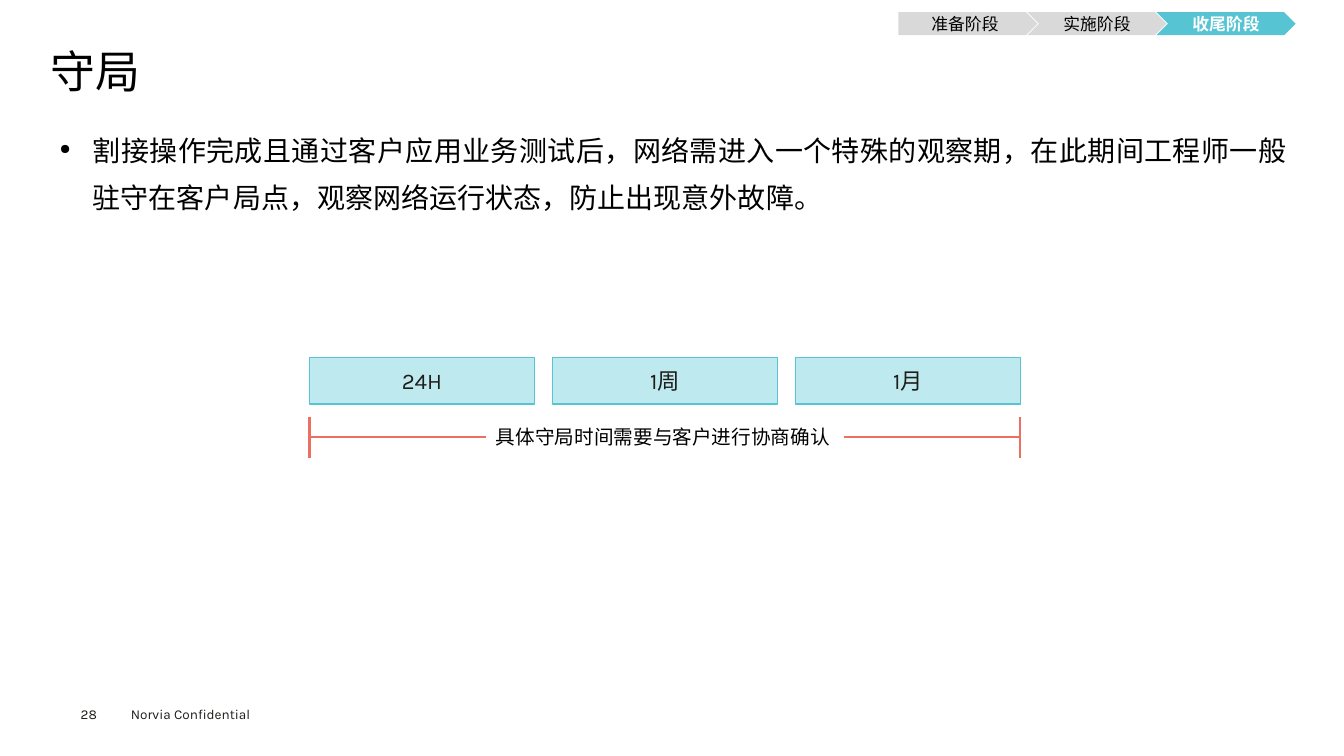
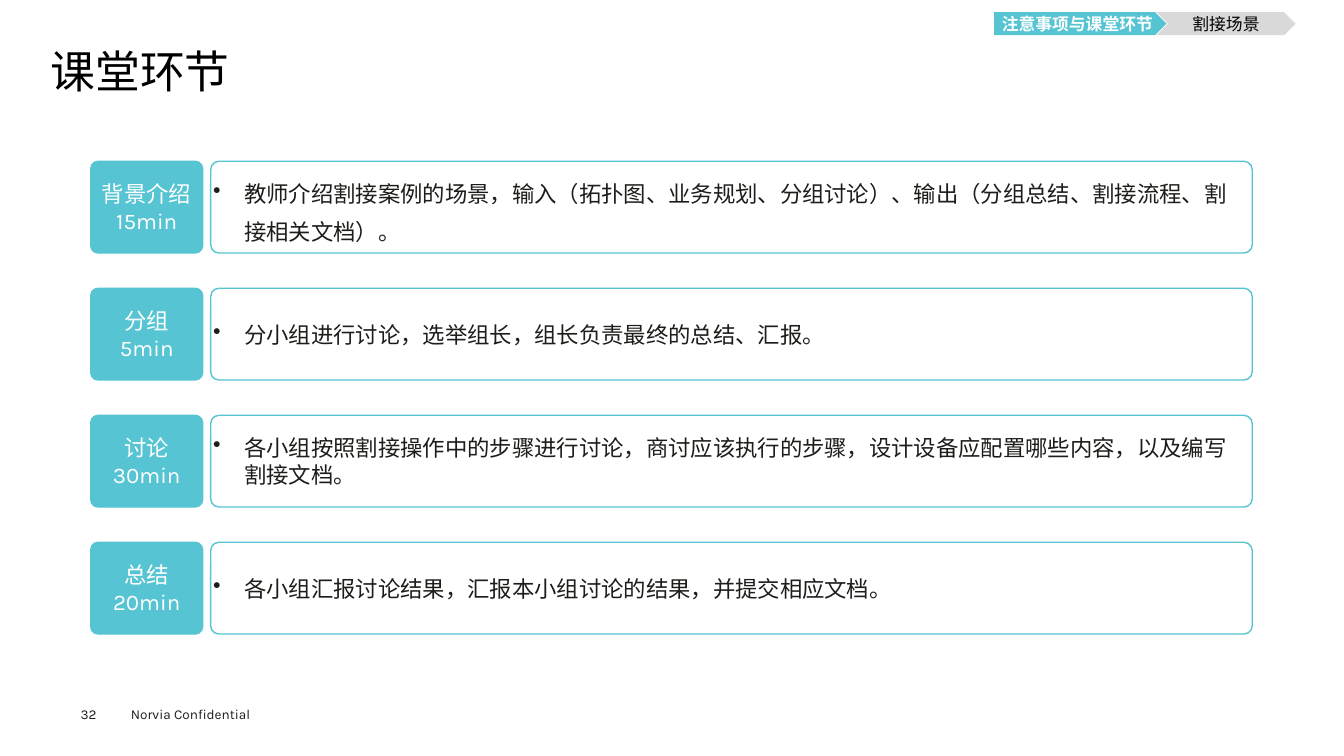
import pptx
import pptx.dml.color
import pptx.enum.shapes
import pptx.enum.text
import pptx.oxml.ns
import pptx.util
from lxml import etree

Inches = pptx.util.Inches
RGBColor = pptx.dml.color.RGBColor
Shape = pptx.enum.shapes.MSO_SHAPE
Align = pptx.enum.text.PP_ALIGN
Anchor = pptx.enum.text.MSO_ANCHOR
qn = pptx.oxml.ns.qn

FONT = "Karla"
BLACK = RGBColor(0x00, 0x00, 0x00)
WHITE = RGBColor(0xFF, 0xFF, 0xFF)
INK = RGBColor(0x1D, 0x1D, 0x1A)
TEAL = RGBColor(0x56, 0xC4, 0xD2)
PALE_TEAL = RGBColor(0xBE, 0xE9, 0xEE)
CORAL = RGBColor(0xEC, 0x70, 0x61)
GREY = RGBColor(0xD9, 0xD9, 0xD9)

MARGIN = 0.5
RIGHT_EDGE = 12.85


def set_bullet(paragraph, character, indent, percent):
    properties = paragraph._p.get_or_add_pPr()
    properties.set("marL", str(Inches(indent)))
    properties.set("indent", str(-Inches(indent)))
    etree.SubElement(properties, qn("a:buSzPct")).set("val", str(percent * 1000))
    etree.SubElement(properties, qn("a:buChar")).set("char", character)


def write_text(shape, text, *, size=16, color=INK, bold=False, align=Align.LEFT,
               anchor=Anchor.TOP, insets=(0, 0), wrap=True, spacing=None,
               bullet=None, indent=0, bullet_percent=100):
    """Fill a shape with text, one paragraph for each line of the string."""
    frame = shape.text_frame
    frame.auto_size = pptx.enum.text.MSO_AUTO_SIZE.NONE
    frame.word_wrap = wrap
    frame.vertical_anchor = anchor
    frame.margin_left = frame.margin_right = Inches(insets[0])
    frame.margin_top = frame.margin_bottom = Inches(insets[1])
    frame.text = text
    for paragraph in frame.paragraphs:
        if bullet:
            set_bullet(paragraph, bullet, indent, bullet_percent)
        paragraph.alignment = align
        paragraph.line_spacing = spacing
        font = paragraph.runs[0].font
        font.name = FONT
        font.size = pptx.util.Pt(size)
        font.bold = bold
        font.color.rgb = color
        east_asian = etree.Element(qn("a:ea"), typeface=FONT)
        font._element.find(qn("a:latin")).addnext(east_asian)


def add_text(slide, text, left, top, width, height, **text_format):
    box = slide.shapes.add_textbox(Inches(left), Inches(top), Inches(width), Inches(height))
    write_text(box, text, **text_format)
    return box


def add_box(slide, kind, text, left, top, width, height, *, fill=None, line=None,
            rounding=None, **text_format):
    shape = slide.shapes.add_shape(kind, Inches(left), Inches(top), Inches(width), Inches(height))
    shape.shadow.inherit = False
    if rounding is not None:
        shape.adjustments[0] = rounding
    if fill is None:
        shape.fill.background()
    else:
        shape.fill.solid()
        shape.fill.fore_color.rgb = fill
    if line is None:
        shape.line.fill.background()
    else:
        shape.line.color.rgb = line
        shape.line.width = pptx.util.Pt(1)
    write_text(shape, text, **{"align": Align.CENTER, "anchor": Anchor.MIDDLE, **text_format})
    return shape


def add_line(slide, x1, y1, x2, y2):
    connector = slide.shapes.add_connector(
        pptx.enum.shapes.MSO_CONNECTOR.STRAIGHT,
        Inches(x1), Inches(y1), Inches(x2), Inches(y2))
    connector.line.color.rgb = CORAL
    connector.line.width = pptx.util.Pt(1.5)
    etree.SubElement(connector._element.spPr, qn("a:effectLst"))
    return connector


def add_phases(slide, phases, current):
    """Draw the right-aligned arrow band from (name, width) pairs."""
    overlap = 0.1
    left = RIGHT_EDGE - sum(width for _, width in phases) + overlap * (len(phases) - 1)
    for index, (name, width) in enumerate(phases):
        active = index == current
        add_box(slide, Shape.CHEVRON if index else Shape.PENTAGON, name,
                left, 0.12, width, 0.23, fill=TEAL if active else GREY,
                size=12, color=WHITE if active else BLACK, bold=active)
        left += width - overlap


def add_titled_slide(presentation, title, number):
    slide = presentation.slides.add_slide(presentation.slide_layouts[5])
    placeholder = slide.shapes.title
    placeholder.left, placeholder.top = Inches(MARGIN), Inches(0.49)
    placeholder.width, placeholder.height = Inches(RIGHT_EDGE - MARGIN), Inches(0.53)
    write_text(placeholder, title, size=32, color=BLACK, spacing=0.9)
    add_text(slide, "Norvia Confidential", 1.2, 6.95, 1.6, 0.27,
             size=9.7, insets=(0.1, 0.05), wrap=False)
    add_text(slide, str(number), 0.8, 7, 0.55, 0.16, size=9.7)
    return slide


def add_watch_periods(slide):
    left, right, axis = 3.07, 10.12, 4.34
    width, gap = 2.23, 0.18
    for index, period in enumerate(("24H", "1周", "1月")):
        add_box(slide, Shape.RECTANGLE, period, left + index * (width + gap), 3.55,
                width, 0.46, fill=PALE_TEAL, line=TEAL)
    for x in (left, right):
        add_line(slide, x, axis - 0.2, x, axis + 0.2)
    label = add_text(slide, "具体守局时间需要与客户进行协商确认", 4.82, axis - 0.17, 3.71, 0.34,
                     size=14, color=BLACK, insets=(0.1, 0.05), wrap=False)
    add_line(slide, left, axis, 4.82, axis).end_connect(label, 1)
    add_line(slide, 8.37, axis, right, axis)


def add_watch_slide(presentation):
    slide = add_titled_slide(presentation, "守局", 28)
    add_text(slide, "割接操作完成且通过客户应用业务测试后，网络需进入一个特殊的观察期，"
             "在此期间工程师一般驻守在客户局点，观察网络运行状态，防止出现意外故障。",
             MARGIN, 1.15, RIGHT_EDGE - MARGIN, 5.34, size=20, color=BLACK,
             align=Align.JUSTIFY, insets=(0.09, 0.04), spacing=1.4,
             bullet="●", indent=0.33, bullet_percent=50)
    add_watch_periods(slide)
    add_phases(slide, [("准备阶段", 1.38), ("实施阶段", 1.38), ("收尾阶段", 1.38)], current=2)


def add_class_slide(presentation):
    slide = add_titled_slide(presentation, "课堂环节", 32)
    steps = [
        ("背景介绍\n15min", "教师介绍割接案例的场景，输入（拓扑图、业务规划、分组讨论）、"
         "输出（分组总结、割接流程、割接相关文档）。", 1.4),
        ("分组\n5min", "分小组进行讨论，选举组长，组长负责最终的总结、汇报。", None),
        ("讨论\n30min", "各小组按照割接操作中的步骤进行讨论，商讨应该执行的步骤，"
         "设计设备应配置哪些内容，以及编写割接文档。", None),
        ("总结\n20min", "各小组汇报讨论结果，汇报本小组讨论的结果，并提交相应文档。", None),
    ]
    for index, (label, description, spacing) in enumerate(steps):
        top = 1.6 + index * 1.26
        add_box(slide, Shape.ROUNDED_RECTANGLE, description, 2.09, top, 10.33, 0.91,
                line=TEAL, rounding=0.09, align=Align.LEFT, spacing=spacing,
                bullet="•", indent=0.31)
        add_box(slide, Shape.ROUNDED_RECTANGLE, label, 0.9, top, 1.11, 0.91,
                fill=TEAL, line=TEAL, rounding=0.08, color=WHITE)
    add_phases(slide, [("注意事项与课堂环节", 1.71), ("割接场景", 1.38)], current=0)


def main():
    presentation = pptx.Presentation()
    presentation.slide_width = Inches(13.33)
    presentation.slide_height = Inches(7.5)
    add_watch_slide(presentation)
    add_class_slide(presentation)
    presentation.save("out.pptx")


if __name__ == "__main__":
    main()
